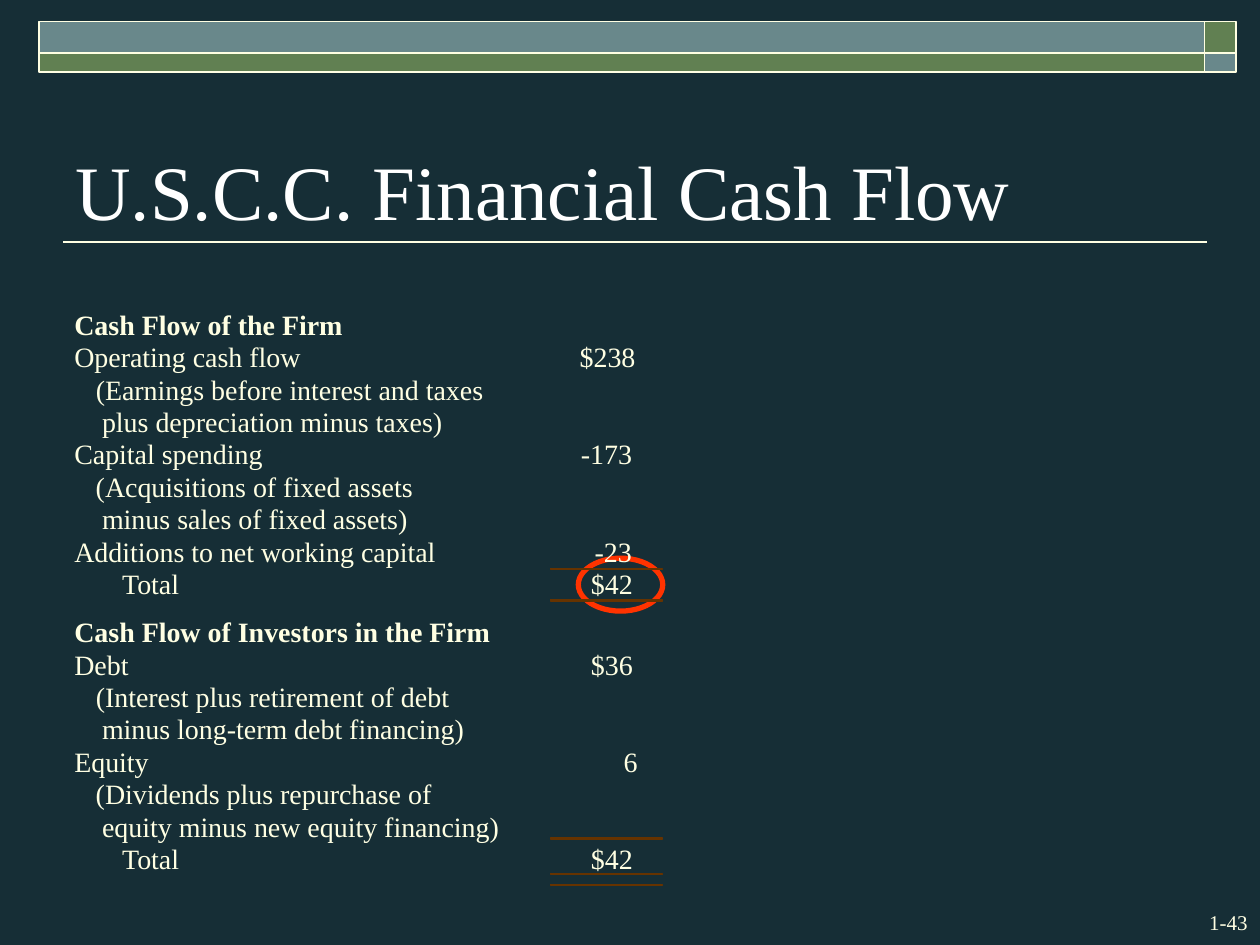
from pptx import Presentation
from pptx import util as u
from pptx.dml import color
from pptx.enum import shapes, text

PX = 9144
FONT = "Times New Roman"
CREAM, WHITE, TEAL, GREEN = "FFFFE3", "FFFFFF", "69888B", "618052"
BACKGROUND, RED, BROWN, BLACK = "162E36", "FF3300", "663300", "000000"
ROW_PITCH = 25.7
ROW_HEIGHT = 27
SLACK = 4

FIRM_ROWS = [
    ("Cash Flow of the Firm", 213, 0, None, 0),
    ("Operating cash flow", 180, 0, "$238", 445),
    ("(Earnings before interest and taxes", 324, 17, None, 0),
    ("plus depreciation minus taxes)", 292, 22, None, 0),
    ("Capital spending", 150, 0, "-173", 443),
    ("(Acquisitions of fixed assets", 269, 17, None, 0),
    ("minus sales of fixed assets)", 265, 22, None, 0),
    ("Additions to net working capital", 287, 0, "-23", 443),
    ("Total", 86, 38, "$42", 443),
]
INVESTOR_ROWS = [
    ("Cash Flow of Investors in the Firm", 330, 0, None, 0),
    ("Debt", 43, 0, "$36", 443),
    ("(Interest plus retirement of debt", 297, 17, None, 0),
    ("minus long-term debt financing)", 310, 22, None, 0),
    ("Equity", 59, 0, "6", 447),
    ("(Dividends plus repurchase of", 283, 17, None, 0),
    ("equity minus new equity financing)", 337, 22, None, 0),
    ("Total", 86, 38, "$42", 443),
]


def px(*lengths):
    """Turn px lengths into EMU."""
    return [u.Emu(round(length * PX)) for length in lengths]


def rgb(value):
    """Turn a hex string into a colour."""
    return color.RGBColor.from_string(value)


def add_outline(slide, kind, box, fill, line, width):
    """Add a preset shape with an optional fill and a coloured line."""
    shape = slide.shapes.add_shape(kind, *px(*box))
    shape.shadow.inherit = False
    if fill:
        shape.fill.solid()
        shape.fill.fore_color.rgb = rgb(fill)
    else:
        shape.fill.background()
    shape.line.color.rgb = rgb(line)
    shape.line.width = u.Pt(width)


def add_text(slide, box, words, size, hue=CREAM, bold=False,
             margins=(0, 0), indent=0, align=text.PP_ALIGN.LEFT,
             anchor=text.MSO_ANCHOR.TOP):
    """Add a one-paragraph text box."""
    frame = slide.shapes.add_textbox(*px(*box)).text_frame
    frame.word_wrap = True
    frame.vertical_anchor = anchor
    frame.margin_left, frame.margin_top = px(*margins)
    frame.margin_right, frame.margin_bottom = px(*margins)
    frame.text = words
    paragraph = frame.paragraphs[0]
    paragraph.alignment = align
    if indent:
        properties = paragraph._p.get_or_add_pPr()
        properties.set("marL", str(indent * PX))
        properties.set("indent", "0")
    font = paragraph.runs[0].font
    font.name, font.size, font.bold = FONT, u.Pt(size), bold
    font.color.rgb = rgb(hue)


def add_banner(slide, left, top, width, height):
    """Draw the two-row banner with swapped colours in its end cells."""
    end, upper = 25, 25
    columns = [(left, width - end), (left + width - end, end)]
    rows = [(top, upper), (top + upper, height - upper)]
    for i, (y, tall) in enumerate(rows):
        for j, (x, wide) in enumerate(columns):
            add_outline(slide, shapes.MSO_SHAPE.RECTANGLE, (x, y, wide, tall),
                        (TEAL, GREEN)[(i + j) % 2], CREAM, 1)


def add_heading(slide, left, top, width, height):
    """Place the title and the line under it."""
    bottom = top + height
    rule = slide.shapes.add_connector(shapes.MSO_CONNECTOR.STRAIGHT,
                                      *px(left, bottom, left + 908, bottom))
    rule.line.color.rgb = rgb(CREAM)
    rule.line.width = u.Pt(1)
    effects = rule._element.spPr.makeelement(
        "{http://schemas.openxmlformats.org/drawingml/2006/main}effectLst", {})
    rule._element.spPr.append(effects)
    add_text(slide, (left, top, width, height), "U.S.C.C. Financial Cash Flow",
             44, WHITE, margins=(10, 5), anchor=text.MSO_ANCHOR.BOTTOM)


def add_statement(slide, left, top, rows, rules):
    """Place the labels, amounts and total rules of one statement."""
    for i, (label, width, indent, amount, right) in enumerate(rows):
        y = top + i * ROW_PITCH
        add_text(slide, (left, y, width + SLACK, ROW_HEIGHT), label, 16,
                 bold=i == 0, indent=indent)
        if amount:
            wide = 11 * len(amount) - 3 * amount.count("-")
            add_text(slide, (left + right - wide, y, wide + SLACK, ROW_HEIGHT),
                     amount, 16)
    for offset in rules:
        add_outline(slide, shapes.MSO_SHAPE.RECTANGLE,
                    (left + 378, top + offset, 89, 1), BLACK, BROWN, 0.75)


def main():
    """Build and save the slide."""
    presentation = Presentation()
    presentation.slide_width, presentation.slide_height = px(1000, 750)
    slide = presentation.slides.add_slide(presentation.slide_layouts[6])
    slide.background.fill.solid()
    slide.background.fill.fore_color.rgb = rgb(BACKGROUND)
    add_banner(slide, 31, 17, 950, 40)
    add_text(slide, (917, 717, 83, 30), "1-43", 12,
             margins=(10, 5), align=text.PP_ALIGN.RIGHT)
    add_heading(slide, 50, 67, 873, 125)
    add_outline(slide, shapes.MSO_SHAPE.OVAL, (459, 443, 67, 42), None, RED, 3)
    add_statement(slide, 59, 244, FIRM_ROWS, (207, 232))
    add_statement(slide, 59, 488, INVESTOR_ROWS, (177, 205, 214))
    presentation.save("out.pptx")


if __name__ == "__main__":
    main()
